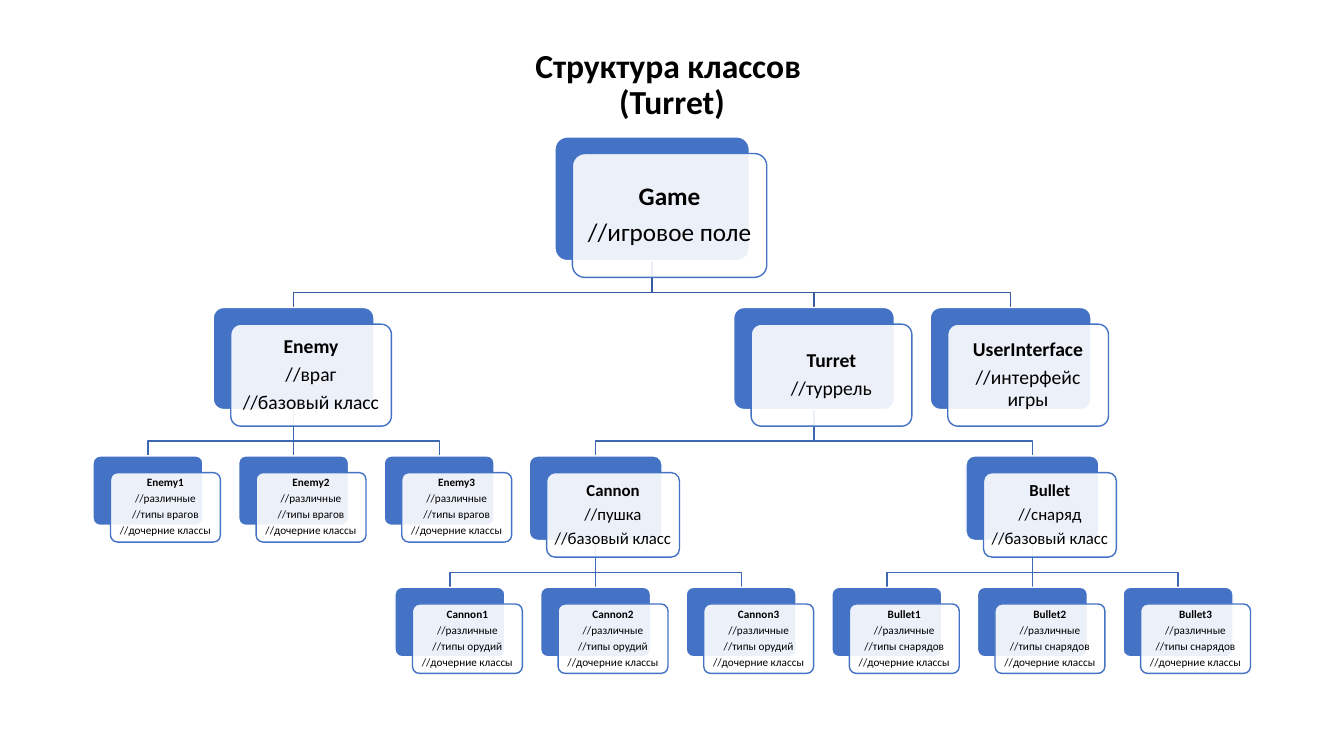
from dataclasses import dataclass, field

from lxml import etree
from pptx import Presentation, util as u
from pptx.dml import color
from pptx.enum import shapes, text
from pptx.oxml import ns
from pptx.shapes import autoshape, shapetree
from pptx.text import text as body


@dataclass(frozen=True)
class Theme:
    font: str = "Calibri"
    ink: str = "000000"
    white: str = "FFFFFF"
    blue: str = "4472C4"
    trunk: str = "365B9D"
    twig: str = "3E67B2"
    title: int = 24
    line: int = 1
    lead: float = 0.9
    after: float = 0.35
    veil: int = 90000


@dataclass(frozen=True)
class Level:
    """Top edge, width and height in cm; type size in points."""
    top: float
    wide: float
    high: float
    size: int


@dataclass(frozen=True)
class Node:
    name: str
    notes: list[str]
    mid: float
    level: Level
    kids: list["Node"] = field(default_factory=list)


THEME = Theme()
PITCH = 3.67  # between neighbouring subclasses
SHIFT = 0.44, 0.42  # front card against back card
DROP = 0.38  # from the crossbar to a child

ROOT = Level(3.45, 4.9, 3.12, 18)
MAIN = Level(7.75, 4.05, 2.57, 14)
BASE = Level(11.49, 3.35, 2.13, 12)
LEAF = Level(BASE.top, 2.77, 1.75, 8)
DEEP = Level(14.8, LEAF.wide, LEAF.high, LEAF.size)


def family(name: str, note: str, kinds: str, mid: float,
           level: Level, below: Level) -> Node:
    """A base class with three evenly spaced subclasses."""
    notes = ["//различные", f"//типы {kinds}", "//дочерние классы"]
    kids = [Node(f"{name}{i}", notes, mid + (i - 2) * PITCH, below)
            for i in (1, 2, 3)]
    return Node(name, [note, "//базовый класс"], mid, level, kids)


def rgb(code: str) -> color.RGBColor:
    return color.RGBColor.from_string(code)


def write(frame: body.TextFrame, lines: list[str], size: int,
          after: float = 0) -> None:
    """Centred lines, the first one bold."""
    frame.word_wrap = True
    frame.vertical_anchor = text.MSO_ANCHOR.MIDDLE
    for i, line in enumerate(lines):
        para = frame.paragraphs[0] if i == 0 else frame.add_paragraph()
        para.text = line
        para.alignment = text.PP_ALIGN.CENTER
        para.line_spacing = THEME.lead
        para.space_after = u.Pt(after * size)
        font = para.font
        font.name, font.size, font.bold = THEME.font, u.Pt(size), i == 0
        font.color.rgb = rgb(THEME.ink)


def plate(tree: shapetree.SlideShapes, left: float, top: float, level: Level,
          fill: str, edge: str) -> autoshape.Shape:
    box = tree.add_shape(shapes.MSO_SHAPE.ROUNDED_RECTANGLE, u.Cm(left),
                         u.Cm(top), u.Cm(level.wide), u.Cm(level.high))
    box.adjustments[0] = 0.1
    box.shadow.inherit = False
    box.fill.solid()
    box.fill.fore_color.rgb = rgb(fill)
    box.line.color.rgb = rgb(edge)
    box.line.width = u.Pt(THEME.line)
    return box


def card(tree: shapetree.SlideShapes, node: Node) -> None:
    level = node.level
    left = node.mid - level.wide / 2
    plate(tree, left, level.top, level, THEME.blue, THEME.white)
    front = plate(tree, left + SHIFT[0], level.top + SHIFT[1], level,
                  THEME.white, THEME.blue)
    tint = front._element.spPr.find(ns.qn("a:solidFill"))[0]
    etree.SubElement(tint, ns.qn("a:alpha"), val=str(THEME.veil))
    frame = front.text_frame
    pad = u.Cm(level.size / 100)
    frame.margin_left = frame.margin_right = pad
    frame.margin_top = frame.margin_bottom = pad
    write(frame, [node.name, *node.notes], level.size, THEME.after)


def link(tree: shapetree.SlideShapes, node: Node, kid: Node) -> None:
    """A straight line to a child below, otherwise an elbow."""
    x, y = u.Cm(node.mid), u.Cm(node.level.top + node.level.high)
    end, low = u.Cm(kid.mid), u.Cm(kid.level.top)
    if x == end:
        wire = tree.add_connector(shapes.MSO_CONNECTOR.STRAIGHT, x, y, end, low)
        etree.SubElement(wire._element.spPr, ns.qn("a:effectLst"))
    else:
        bar = low - u.Cm(DROP)
        pen = tree.build_freeform(x, y)
        pen.add_line_segments([(x, bar), (end, bar), (end, low)], close=False)
        wire = pen.convert_to_shape()
        wire.fill.background()
        wire.shadow.inherit = False
    wire.line.color.rgb = rgb(THEME.trunk if node.level is ROOT else THEME.twig)
    wire.line.width = u.Pt(THEME.line)


def links(tree: shapetree.SlideShapes, node: Node) -> None:
    for kid in node.kids:
        link(tree, node, kid)
        links(tree, kid)


def cards(tree: shapetree.SlideShapes, node: Node) -> None:
    card(tree, node)
    for kid in node.kids:
        cards(tree, kid)


# Class tree
enemy = family("Enemy", "//враг", "врагов", 7.4, MAIN, LEAF)
cannon = family("Cannon", "//пушка", "орудий", 15.01, BASE, DEEP)
bullet = family("Bullet", "//снаряд", "снарядов", cannon.mid + 3 * PITCH,
                BASE, DEEP)
turret = Node("Turret", ["//туррель"], (cannon.mid + bullet.mid) / 2, MAIN,
              [cannon, bullet])
panel = Node("UserInterface", ["//интерфейс игры"], 25.47, MAIN)
game = Node("Game", ["//игровое поле"], (enemy.mid + panel.mid) / 2, ROOT,
            [enemy, turret, panel])

# Slide
deck = Presentation()
deck.slide_width, deck.slide_height = u.Cm(33.87), u.Cm(19.05)
tree = deck.slides.add_slide(deck.slide_layouts[6]).shapes

# Title
head = tree.add_textbox(u.Cm(2.33), u.Cm(1.02), u.Cm(29.21), u.Cm(2.26))
write(head.text_frame, ["Структура классов \v(Turret)"], THEME.title)

# Diagram: lines behind, cards in front
links(tree, game)
cards(tree, game)

deck.save("out.pptx")
